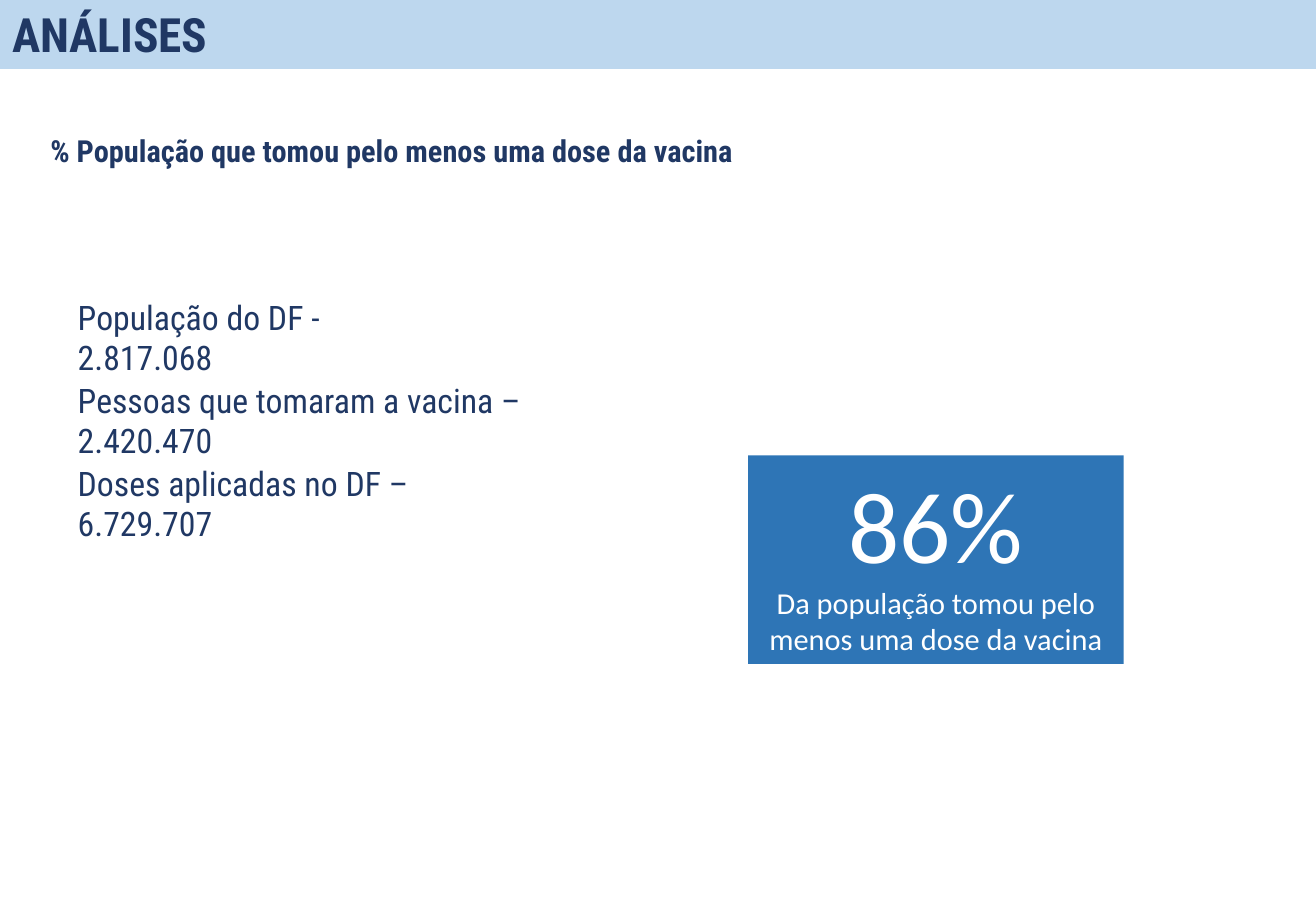
"""Builds the slide on the share of people with at least one vaccine dose."""
from pptx import Presentation, util as u
from pptx.dml.color import RGBColor
from pptx.enum import shapes, text

PX = 7620
NAVY = RGBColor(0x20, 0x38, 0x64)
PALE = RGBColor(0xBD, 0xD7, 0xEE)
BLUE = RGBColor(0x2E, 0x75, 0xB6)
WHITE = RGBColor(0xFF, 0xFF, 0xFF)
ROBOTO = "Roboto Condensed"


def px(*sizes):
    return [u.Emu(size * PX) for size in sizes]


def write(para, words, size, font, color, bold=False):
    run = para.add_run()
    run.text = words
    run.font.size = u.Pt(size)
    run.font.name = font
    run.font.bold = bold
    run.font.color.rgb = color


deck = Presentation()
deck.slide_width, deck.slide_height = px(1300, 900)
slide = deck.slides.add_slide(deck.slide_layouts[5])

title = slide.shapes.title
title.left, title.top, title.width, title.height = px(0, -1, 1300, 69)
title.fill.solid()
title.fill.fore_color.rgb = PALE
frame = title.text_frame
frame.auto_size = text.MSO_AUTO_SIZE.NONE
frame.vertical_anchor = text.MSO_ANCHOR.MIDDLE
frame.paragraphs[0].alignment = text.PP_ALIGN.LEFT
write(frame.paragraphs[0], "ANÁLISES", 28, ROBOTO, NAVY, True)

head = slide.shapes.add_textbox(*px(38, 125, 720, 48)).text_frame
head.word_wrap = True
write(head.paragraphs[0], "% População que tomou pelo menos uma dose da vacina",
      18, ROBOTO, NAVY, True)

facts = [
    ("População do DF -", "2.817.068"),
    ("Pessoas que tomaram a vacina –", "2.420.470"),
    ("Doses aplicadas no DF –", "6.729.707"),
]
for row, (label, count) in enumerate(facts):
    fact = slide.shapes.add_textbox(*px(65, 287 + 82 * row, 564, 82)).text_frame
    fact.word_wrap = True
    para = fact.paragraphs[0]
    write(para, label, 20, ROBOTO, NAVY)
    para.add_line_break()
    write(para, count, 20, ROBOTO, NAVY)

card = slide.shapes.add_shape(shapes.MSO_SHAPE.RECTANGLE, *px(739, 450, 371, 206))
card.shadow.inherit = False
card.fill.solid()
card.fill.fore_color.rgb = BLUE
card.line.fill.background()
frame = card.text_frame
frame.word_wrap = True
frame.vertical_anchor = text.MSO_ANCHOR.MIDDLE
share, note = frame.paragraphs[0], frame.add_paragraph()
share.alignment = note.alignment = text.PP_ALIGN.CENTER
write(share, "86%", 60, "Calibri", WHITE)
write(note, "Da população tomou pelo menos uma dose da vacina", 18, "Calibri", WHITE)

deck.save("out.pptx")
